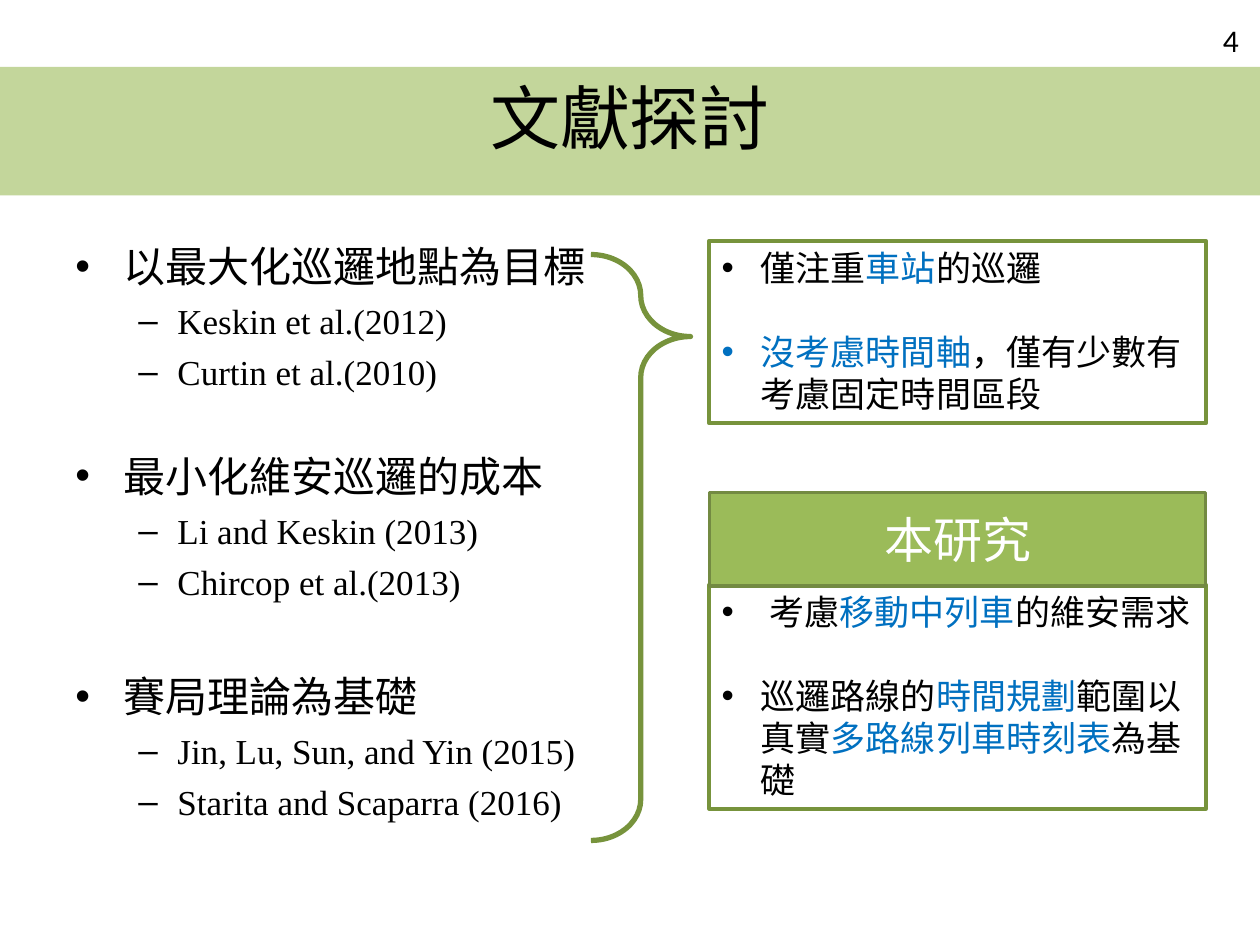
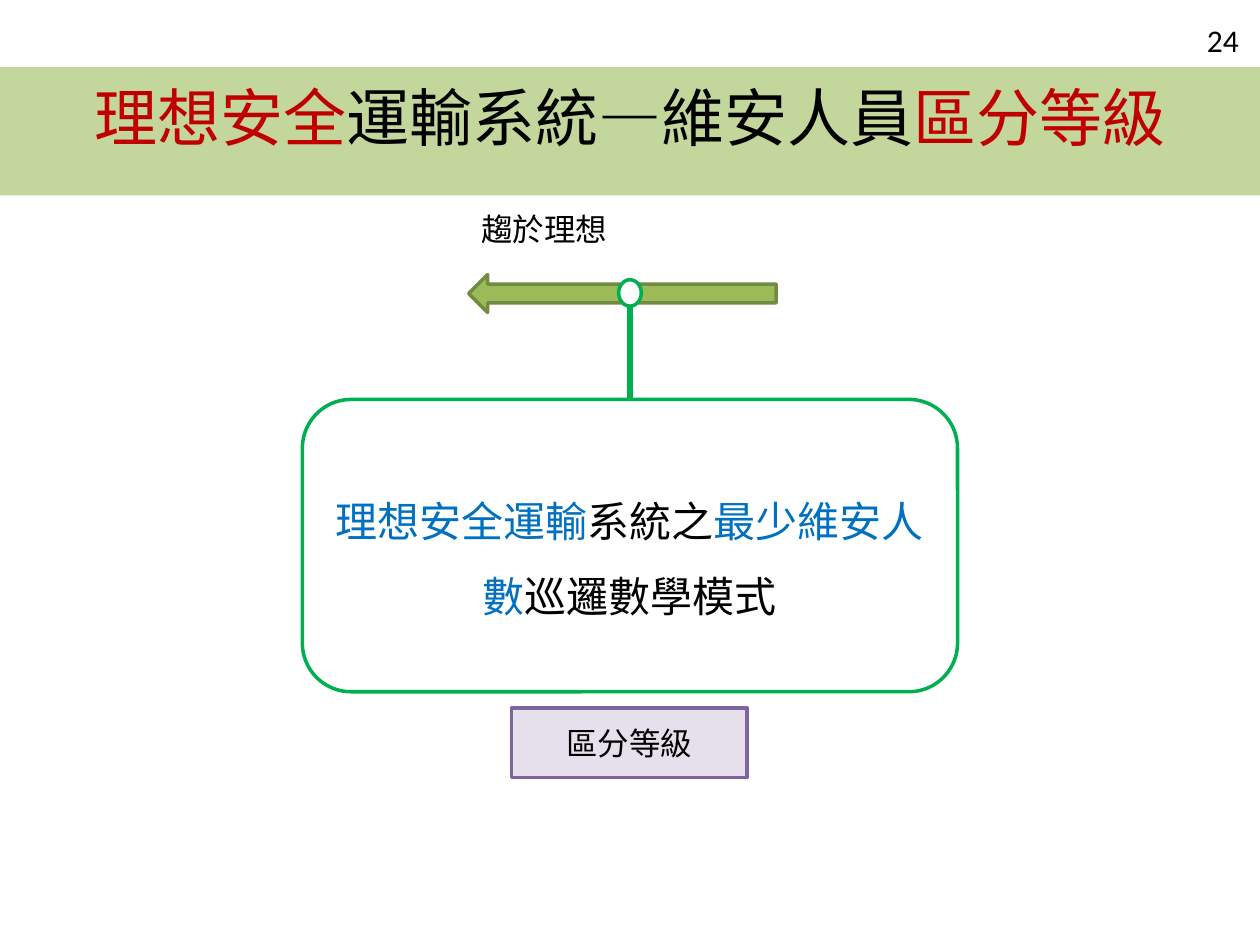
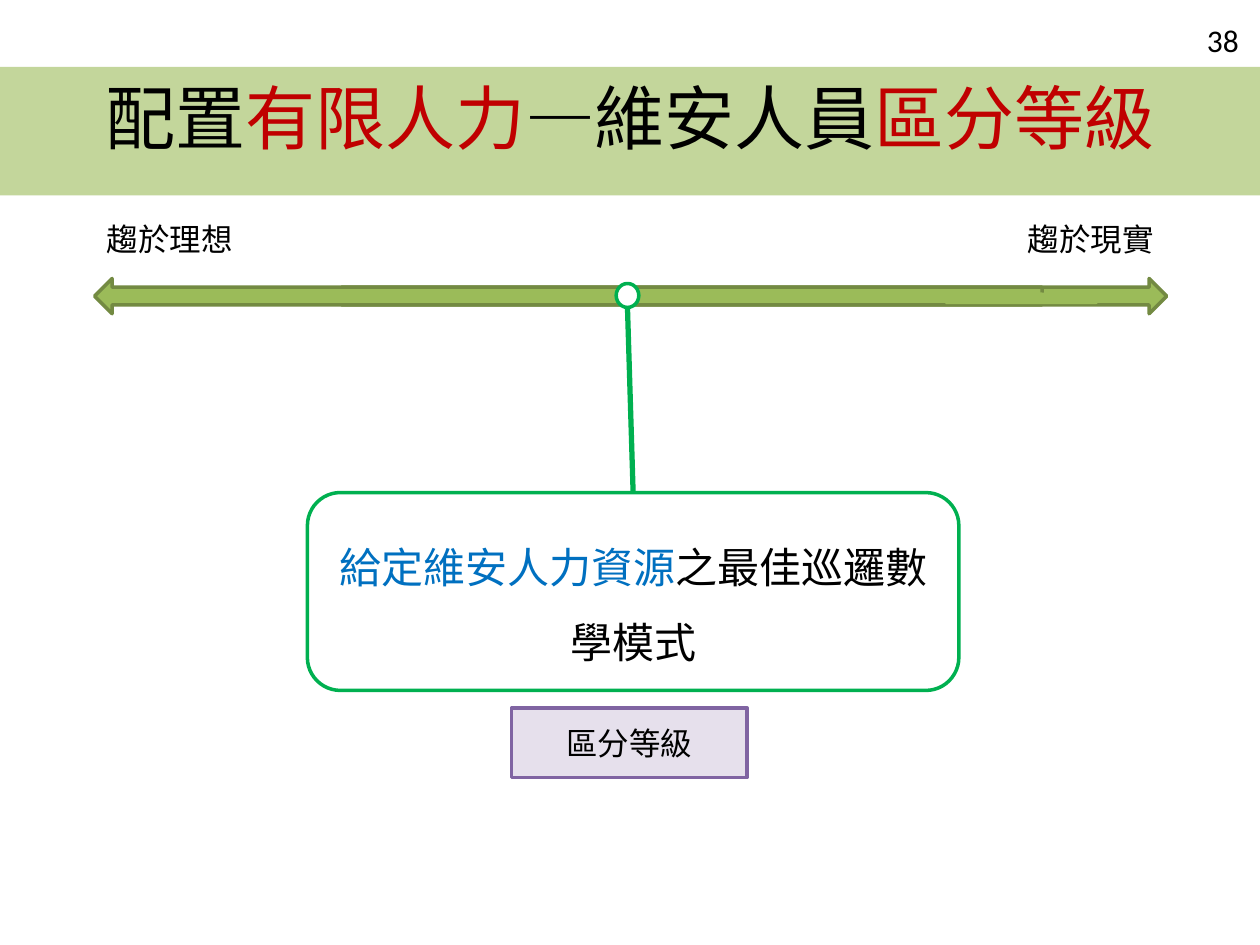
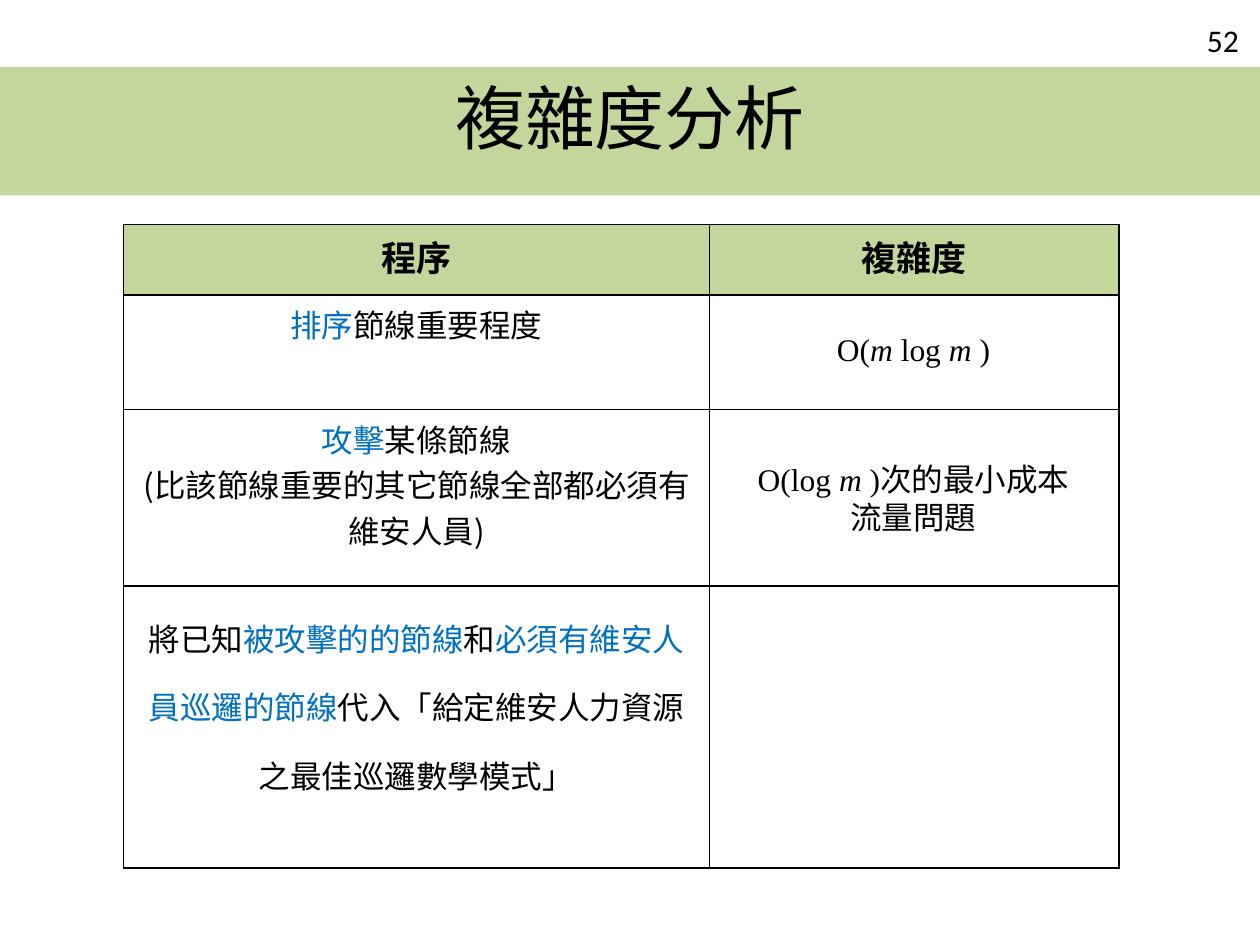
from lxml.etree import SubElement
from pptx import Presentation
from pptx.dml.color import RGBColor
from pptx.enum.shapes import MSO_CONNECTOR as Link, MSO_SHAPE as Kind
from pptx.enum.text import MSO_ANCHOR as Anchor, PP_ALIGN as Align
from pptx.oxml.ns import qn
from pptx.util import Inches, Pt

WIDTH, HEIGHT = 10, 7.5
CJK, SERIF, SANS = "Noto Sans CJK SC", "Times New Roman", "Calibri"
HUES = {
    "black": "000000", "white": "FFFFFF", "blue": "0070C0", "red": "C00000",
    "band": "C3D69B", "leaf": "9BBB59", "moss": "738A42", "olive": "77933C",
    "green": "00B050", "lilac": "E6E0EC", "plum": "8064A2",
}

# A paragraph is a list of runs; a run is plain text or (text, style),
# where a style is a colour name, "italic" or "cjk".
TITLES = {
    4: (40, ["文獻探討"]),
    24: (36, [("理想安全", "red"), "運輸系統—維安人員", ("區分等級", "red")]),
    38: (40, ["配置", ("有限人力", "red"), "—維安人員", ("區分等級", "red")]),
    52: (40, ["複雜度分析"]),
}
# Heading, space before it in points, works
STUDIES = [
    ("以最大化巡邏地點為目標", 0, ["Keskin et al.(2012)", "Curtin et al.(2010)"]),
    ("最小化維安巡邏的成本", 33, ["Li and Keskin (2013)", "Chircop et al.(2013)"]),
    ("賽局理論為基礎", 39, ["Jin, Lu, Sun, and Yin (2015)",
                     "Starita and Scaparra (2016)"]),
]
# Top, height, then (indent, runs) for each point
PANELS = [
    (1.91, 1.45, [
        (0.31, ["僅注重", ("車站", "blue"), "的巡邏"]),
        (0.31, [("沒考慮時間軸", "blue"), "，僅有少數有考慮固定時間區段"])]),
    (4.64, 1.78, [
        (0.38, ["考慮", ("移動中列車", "blue"), "的維安需求"]),
        (0.31, ["巡邏路線的", ("時間規劃", "blue"), "範圍以真實",
                ("多路線列車時刻表", "blue"), "為基礎"])]),
]
IDEAL = [("理想安全運輸", "blue"), "系統之", ("最少維安人數", "blue"), "巡邏數學模式"]
LIMITED = [("給定維安人力資源", "blue"), "之最佳巡邏數學模式"]
HEADS = ["程序", "複雜度"]
STEPS = [
    [[("排序", "blue"), "節線重要程度"]],
    [[("攻擊", "blue"), "某條節線"],
     ["(比該節線重要的其它節線全部都必須有維安人員)"]],
    [["將已知", ("被攻擊的的節線", "blue"), "和",
      ("必須有維安人員巡邏的節線", "blue"),
      "代入「給定維安人力資源之最佳巡邏數學模式」"]],
]
COSTS = [
    (2.57, 0.4, ["O(", ("m", "italic"), " log ", ("m ", "italic"), ")"]),
    (3.6, 0.71, ["O(log ", ("m", "italic"), " )", ("次的最小成本流量問題", "cjk")]),
]
COLS, ROWS = [4.65, 3.25], [0.56, 0.91, 1.4, 2.24]


def hue(name):
    return RGBColor.from_string(HUES[name])


def fill_para(para, runs, size, face=CJK, color="black", align=Align.LEFT,
              before=0, lines=None, bold=False, bullet=None):
    """Write runs; bullet is (sign, left indent, hanging indent)."""
    para.alignment = align
    if before:
        para.space_before = Pt(before)
    if lines:
        para.line_spacing = lines
    props = para._p.get_or_add_pPr()
    if bullet:
        sign, left, hang = bullet
        props.set("marL", str(Inches(left)))
        props.set("indent", str(-Inches(hang)))
        SubElement(props, qn("a:buFont")).set("typeface", "Arial")
        SubElement(props, qn("a:buChar")).set("char", sign)
    font = para.font
    font.name, font.size, font.bold = face, Pt(size), bold
    font.color.rgb = hue(color)
    SubElement(props.find(qn("a:defRPr")), qn("a:ea")).set("typeface", CJK)
    for item in runs:
        text, style = (item, None) if isinstance(item, str) else item
        run = para.add_run()
        run.text = text
        if style == "italic":
            run.font.italic = True
        elif style == "cjk":
            run.font.name = CJK
        elif style:
            run.font.color.rgb = hue(style)


def add_para(frame):
    first = frame.paragraphs[0]
    return frame.add_paragraph() if first.runs else first


def add_text(slide, box, runs=(), size=18, anchor=Anchor.TOP, wrap=True, **look):
    frame = slide.shapes.add_textbox(*map(Inches, box)).text_frame
    frame.word_wrap, frame.vertical_anchor = wrap, anchor
    if runs:
        fill_para(frame.paragraphs[0], runs, size, **look)
    return frame


def paint(shape, fill=None, line=None, weight=2):
    shape.shadow.inherit = False
    if fill:
        shape.fill.solid()
        shape.fill.fore_color.rgb = hue(fill)
    else:
        shape.fill.background()
    if line:
        shape.line.color.rgb = hue(line)
        shape.line.width = Pt(weight)
    else:
        shape.line.fill.background()
    return shape


def add_shape(slide, kind, box, fill=None, line=None, weight=2, runs=(),
              size=18, **look):
    shape = paint(slide.shapes.add_shape(kind, *map(Inches, box)),
                  fill, line, weight)
    if runs:
        frame = shape.text_frame
        frame.word_wrap, frame.vertical_anchor = True, Anchor.MIDDLE
        fill_para(frame.paragraphs[0], runs, size, align=Align.CENTER, **look)
    return shape


def add_page(deck, number):
    slide = deck.slides.add_slide(deck.slide_layouts[6])
    add_shape(slide, Kind.RECTANGLE, (0, 0.53, WIDTH + 0.04, 1.02), "band")
    add_text(slide, (7.6, 0.12, 2.33, 0.4), [str(number)], 18, Anchor.MIDDLE,
             face=SANS, align=Align.RIGHT)
    size, runs = TITLES[number]
    add_text(slide, (0.5, 0.3, WIDTH - 1, 1.25), runs, size, Anchor.MIDDLE,
             align=Align.CENTER)
    return slide


def add_model(slide, dot, box, runs):
    """Add a marker dot, its stem and the model box below, with its tag."""
    left, top, wide, high = dot
    add_shape(slide, Kind.OVAL, dot, "white", "green")
    card = add_shape(slide, Kind.ROUNDED_RECTANGLE, box, None, "green",
                     runs=runs, size=24, lines=1.5)
    stem = slide.shapes.add_connector(
        Link.STRAIGHT, Inches(left + wide / 2), Inches(top + high),
        Inches(box[0] + box[2] / 2), Inches(box[1]))
    stem.end_connect(card, 0)
    stem.line.color.rgb, stem.line.width = hue("green"), Pt(3)
    SubElement(stem._element.spPr, qn("a:effectLst"))
    add_shape(slide, Kind.RECTANGLE, (4.06, 5.62, 1.87, 0.55), "lilac", "plum",
              runs=["區分等級"])


def add_arrow(slide, kind, left, top, wide, high):
    add_shape(slide, kind, (left, top, wide, high), "leaf", "moss")


def add_label(slide, left, top, text):
    add_text(slide, (left, top, 1.21, 0.4), [text], wrap=False)


def edge_cell(cell):
    props = cell._tc.get_or_add_tcPr()
    for place, side in enumerate(("lnL", "lnR", "lnT", "lnB")):
        line = props.makeelement(qn("a:" + side), {"w": str(Pt(1))})
        paper = SubElement(line, qn("a:solidFill"))
        SubElement(paper, qn("a:srgbClr")).set("val", HUES["black"])
        props.insert(place, line)


def review_page(deck):
    slide = add_page(deck, 4)
    frame = add_text(slide, (0.5, 1.86, WIDTH - 1, 4.95))
    for head, gap, works in STUDIES:
        fill_para(add_para(frame), [head], 24, before=gap,
                  bullet=("•", 0.38, 0.38))
        for work in works:
            fill_para(add_para(frame), [work], 20, SERIF, before=5,
                      bullet=("–", 0.81, 0.31))
    brace = add_shape(slide, Kind.RIGHT_BRACE, (4.69, 2.02, 0.79, 4.65), None,
                      "olive", 3)
    brace.adjustments[0], brace.adjustments[1] = 0.48, 0.14
    left, wide = 5.63, 3.94
    for top, high, points in PANELS:
        panel = add_shape(slide, Kind.RECTANGLE, (left, top, wide, high), None,
                          "olive", 2.25).text_frame
        panel.word_wrap, panel.vertical_anchor = True, Anchor.TOP
        for place, (indent, runs) in enumerate(points):
            fill_para(add_para(panel), runs, 20, before=24 * place,
                      bullet=("•", indent, indent))
    add_shape(slide, Kind.RECTANGLE, (left, 3.91, wide, 0.74), "leaf", "moss",
              runs=["本研究"], size=28, color="white")


def ideal_page(deck):
    slide = add_page(deck, 24)
    add_label(slide, 3.72, 1.62, "趨於理想")
    add_arrow(slide, Kind.LEFT_ARROW, 3.72, 2.18, 2.44, 0.3)
    add_model(slide, (4.91, 2.22, 0.18, 0.21), (2.4, 3.17, 5.2, 2.32), IDEAL)


def limited_page(deck):
    slide = add_page(deck, 38)
    add_arrow(slide, Kind.RIGHT_ARROW, 2.71, 2.21, 6.55, 0.28)
    add_arrow(slide, Kind.LEFT_ARROW, 0.75, 2.21, 7.52, 0.28)
    seam = slide.shapes.build_freeform(Inches(7.8), Inches(2.31), 1.0)
    seam.add_line_segments([(Inches(x), Inches(y)) for x, y in (
        (8.53, 2.35), (8.57, 2.31), (8.7, 2.4), (7.51, 2.4))])
    paint(seam.convert_to_shape(), "leaf", "leaf")
    add_label(slide, 0.75, 1.7, "趨於理想")
    add_label(slide, 8.06, 1.7, "趨於現實")
    add_model(slide, (4.89, 2.25, 0.18, 0.19), (2.44, 3.91, 5.17, 1.57), LIMITED)


def cost_page(deck):
    slide = add_page(deck, 52)
    grid = slide.shapes.add_table(
        len(ROWS), len(COLS), Inches(0.98), Inches(1.78),
        Inches(sum(COLS)), Inches(sum(ROWS))).table
    for col, wide in zip(grid.columns, COLS):
        col.width = Inches(wide)
    for row, high in zip(grid.rows, ROWS):
        row.height = Inches(high)
    for cell in grid.iter_cells():
        cell.fill.background()
        edge_cell(cell)
    for place, head in enumerate(HEADS):
        cell = grid.cell(0, place)
        cell.fill.solid()
        cell.fill.fore_color.rgb = hue("band")
        fill_para(cell.text_frame.paragraphs[0], [head], 20,
                  align=Align.CENTER, bold=True)
    for place, paras in enumerate(STEPS, 1):
        frame = grid.cell(place, 0).text_frame
        for runs in paras:
            fill_para(add_para(frame), runs, 18, align=Align.CENTER,
                      lines=1.5 if place == len(STEPS) else None)
    for top, high, runs in COSTS:
        add_text(slide, (5.87, top, 2.76, high), runs, face=SERIF,
                 align=Align.CENTER)


def main():
    deck = Presentation()
    deck.slide_width, deck.slide_height = Inches(WIDTH), Inches(HEIGHT)
    for build in (review_page, ideal_page, limited_page, cost_page):
        build(deck)
    deck.save("out.pptx")


if __name__ == "__main__":
    main()
